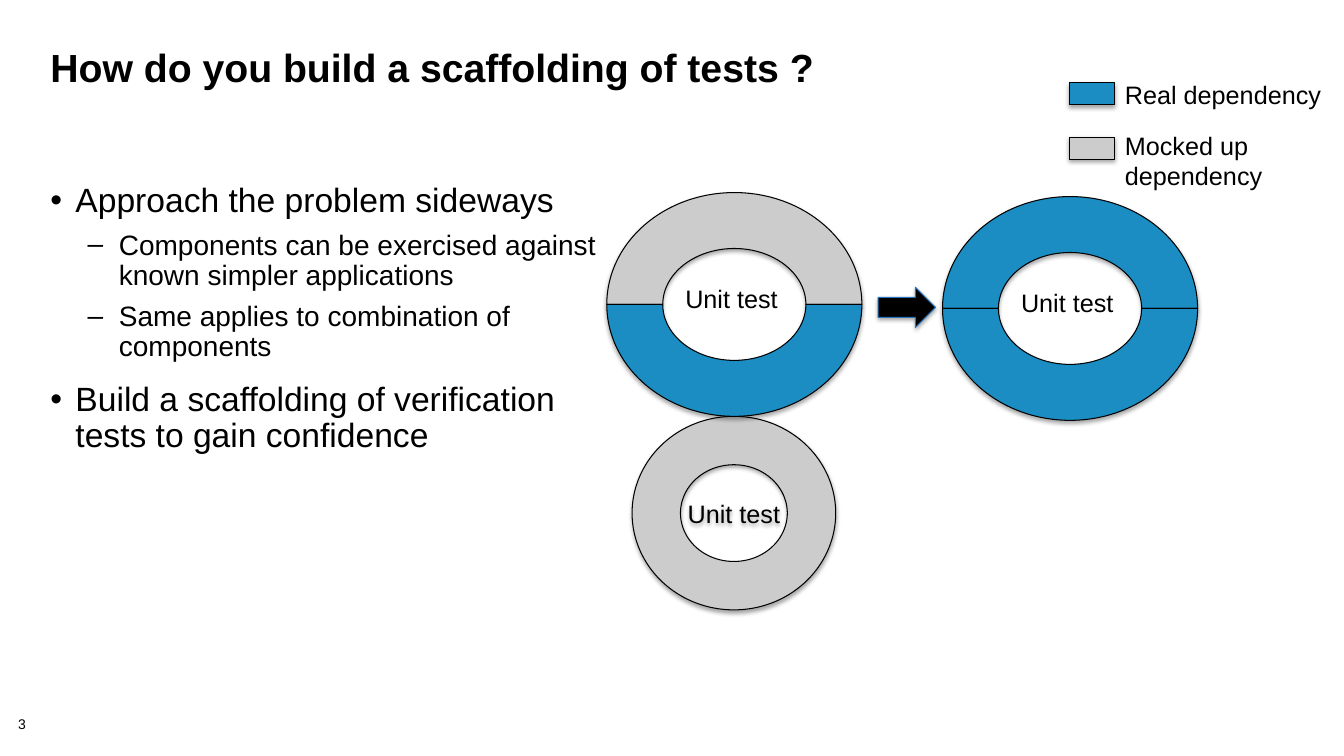
import pptx
import pptx.util
import pptx.oxml
import pptx.dml.color
import pptx.enum.shapes
import pptx.enum.text
from lxml import etree

COLORS = {"text": "000000", "real": "1B8DC3", "mock": "CCCCCC", "edge": "2673BA"}
NS = "http://schemas.openxmlformats.org/drawingml/2006/main"
SHAPE = pptx.enum.shapes.MSO_SHAPE
ALIGN = pptx.enum.text.PP_ALIGN
ANCHOR = pptx.enum.text.MSO_ANCHOR
LOWER_HALF = (0, 108)


def rgb(name):
    return pptx.dml.color.RGBColor.from_string(COLORS[name])


def write(p, text, size=18, bold=False, align=ALIGN.LEFT, spacing=None, before=0,
          bullet=None, margin=0, hang=0):
    if bullet:
        pPr = p._p.get_or_add_pPr()
        pPr.set("marL", str(pptx.util.Inches(margin)))
        pPr.set("indent", str(-pptx.util.Inches(hang)))
        etree.SubElement(pPr, f"{{{NS}}}buFont", typeface="Arial")
        etree.SubElement(pPr, f"{{{NS}}}buChar", char=bullet)
    p.alignment = align
    p.space_before = pptx.util.Pt(before)
    if spacing:
        p.line_spacing = spacing
    r = p.add_run()
    r.text = text
    r.font.name = "Arial"
    r.font.size = pptx.util.Pt(size)
    r.font.bold = bold
    r.font.color.rgb = rgb("text")


class Deck:
    """Slide builder whose lengths are percentages of the slide's width and height."""

    def __init__(self):
        self.prs = pptx.Presentation()
        self.prs.slide_width = pptx.util.Inches(13.33)
        self.prs.slide_height = pptx.util.Inches(7.5)
        self.s = self.prs.slides.add_slide(self.prs.slide_layouts[5])

    def box(self, x, y, w, h):
        width, height = self.prs.slide_width, self.prs.slide_height
        return [int(share * side / 100) for share, side in
                zip((x, y, w, h), (width, height, width, height))]

    def title(self, text, *at):
        sp = self.s.shapes.title
        sp.left, sp.top, sp.width, sp.height = self.box(*at)
        tf = sp.text_frame
        tf.auto_size = pptx.enum.text.MSO_AUTO_SIZE.NONE
        tf.vertical_anchor = ANCHOR.TOP
        write(tf.paragraphs[0], text, size=28, bold=True, spacing=0.85)

    def text(self, items, *at, wrap=False, inset=True):
        tf = self.s.shapes.add_textbox(*self.box(*at)).text_frame
        tf.word_wrap = wrap
        if not inset:
            tf.margin_left = tf.margin_top = tf.margin_right = tf.margin_bottom = 0
        for i, (text, style) in enumerate(items):
            write(tf.add_paragraph() if i else tf.paragraphs[0], text, **style)

    def shape(self, kind, fill, *at, line="text", angles=(), label=None):
        sp = self.s.shapes.add_shape(kind, *self.box(*at))
        sp.fill.solid()
        sp.fill.fore_color.rgb = rgb(fill)
        sp.line.color.rgb = rgb(line)
        sp.line.width = pptx.util.Pt(0.75)
        for i, angle in enumerate(angles):
            sp.adjustments[i] = angle
        sp.shadow.inherit = False
        effects = sp._element.spPr.find(f"{{{NS}}}effectLst")
        effects.append(pptx.oxml.parse_xml(
            f'<a:outerShdw xmlns:a="{NS}" blurRad="40000" dist="23000" dir="5400000" '
            f'rotWithShape="0"><a:srgbClr val="{COLORS["text"]}"><a:alpha val="35000"/>'
            '</a:srgbClr></a:outerShdw>'))
        if label:
            sp.text_frame.vertical_anchor = ANCHOR.MIDDLE
            write(sp.text_frame.paragraphs[0], label, align=ALIGN.CENTER)

    def ring(self, upper, lower, x, y):
        for fill, angles in ((upper, ()), (lower, LOWER_HALF)):
            self.shape(SHAPE.BLOCK_ARC, fill, x, y, 18.98, 29.6, angles=angles)
        self.text([("Unit test", {})], x + 5.1, y + 11.3, 8.48, 5.33)

    def legend(self, fill, lines, y, text_y, w, h):
        self.shape(SHAPE.RECTANGLE, fill, 79.58, y, 3.38, 2.93)
        self.text([(line, {}) for line in lines], 82.96, text_y, w, h)


def main():
    deck = Deck()
    deck.title("How do you build a scaffolding of tests ?", 3, 6, 93.3, 13.33)
    deck.text([("3", dict(size=10, spacing=0.9))], 1.35, 94.93, 4.2, 2.13, inset=False)
    point = dict(size=24, spacing=0.9, bullet="•", margin=0.25, hang=0.25)
    detail = dict(size=20, spacing=0.9, before=8, bullet="–", margin=0.68, hang=0.31)
    deck.text([
        ("Approach the problem sideways", point),
        ("Components can be exercised against known simpler applications", detail),
        ("Same applies to combination of components", detail),
        ("Build a scaffolding of verification tests to gain confidence",
         dict(point, before=14)),
    ], 3, 23.6, 42.15, 62.27, wrap=True)
    deck.shape(SHAPE.DONUT, "mock", 47.03, 55.07, 15.15, 25.6, label="Unit test")
    deck.ring("mock", "real", 45.15, 25.47)
    deck.legend("real", ["Real dependency"], 10.93, 9.87, 16.28, 5.33)
    deck.legend("mock", ["Mocked up", "dependency"], 18.13, 16.53, 11.85, 9.47)
    deck.ring("real", "real", 70.13, 26)
    deck.shape(SHAPE.RIGHT_ARROW, "text", 65.33, 38, 4.28, 5.33, line="edge")
    deck.prs.save("out.pptx")


if __name__ == "__main__":
    main()
